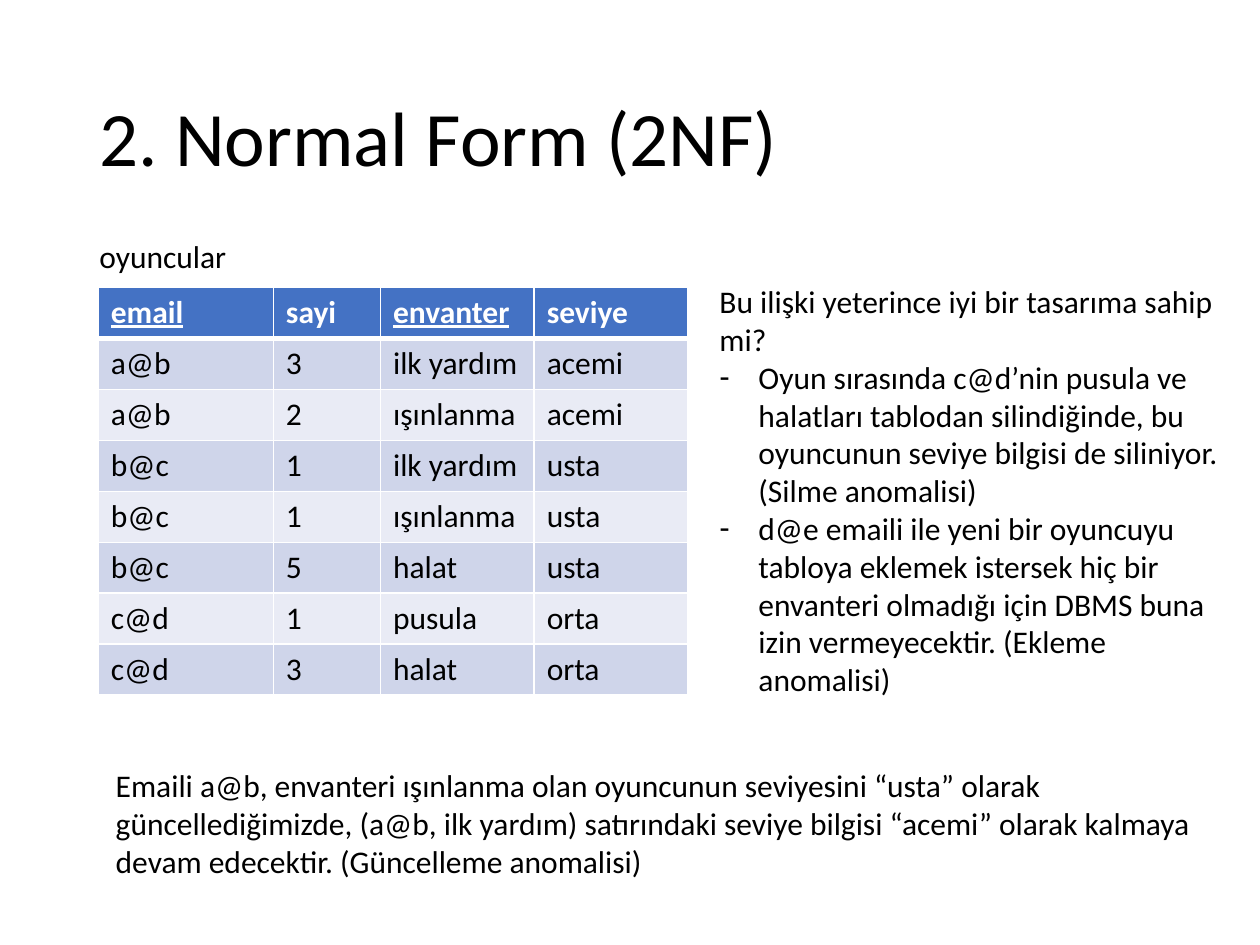
from lxml import etree
from pptx import Presentation
from pptx.dml.color import RGBColor
from pptx.enum.text import MSO_ANCHOR, MSO_AUTO_SIZE, PP_ALIGN
from pptx.oxml.ns import qn
from pptx.util import Inches, Pt

LEFT = PP_ALIGN.LEFT
TOP = MSO_ANCHOR.TOP
MIDDLE = MSO_ANCHOR.MIDDLE
NO_FIT = MSO_AUTO_SIZE.NONE
GROW = MSO_AUTO_SIZE.SHAPE_TO_FIT_TEXT

BLACK = RGBColor(0x00, 0x00, 0x00)
WHITE = RGBColor(0xFF, 0xFF, 0xFF)
HEADER_BLUE = RGBColor(0x44, 0x72, 0xC4)
BAND_DARK = RGBColor(0xCF, 0xD5, 0xEA)
BAND_LIGHT = RGBColor(0xE9, 0xEB, 0xF5)

HEADERS = ["email", "sayi", "envanter", "seviye"]
KEY_COLUMNS = {"email", "envanter"}
PLAYERS = [
    ["a@b", "3", "ilk yardım", "acemi"],
    ["a@b", "2", "ışınlanma", "acemi"],
    ["b@c", "1", "ilk yardım", "usta"],
    ["b@c", "1", "ışınlanma", "usta"],
    ["b@c", "5", "halat", "usta"],
    ["c@d", "1", "pusula", "orta"],
    ["c@d", "3", "halat", "orta"],
]
QUESTION = "Bu ilişki yeterince iyi bir tasarıma sahip mi?"
ANOMALIES = [
    "Oyun sırasında c@d’nin pusula ve halatları tablodan silindiğinde, "
    "bu oyuncunun seviye bilgisi de siliniyor. (Silme anomalisi)",
    "d@e emaili ile yeni bir oyuncuyu tabloya eklemek istersek hiç bir envanteri "
    "olmadığı için DBMS buna izin vermeyecektir. (Ekleme anomalisi)",
]
UPDATE_NOTE = (
    "Emaili a@b, envanteri ışınlanma olan oyuncunun seviyesini “usta” olarak "
    "güncellediğimizde, (a@b, ilk yardım) satırındaki seviye bilgisi “acemi” "
    "olarak kalmaya devam edecektir. (Güncelleme anomalisi)"
)


class SlideBuilder:
    font = "Calibri"
    title_size = 44
    text_size = 18
    hanging = Inches(0.31)

    def __init__(self, slide):
        self.slide = slide

    def place(self, shape, left, top, width, height):
        shape.left, shape.top = Inches(left), Inches(top)
        shape.width, shape.height = Inches(width), Inches(height)

    def add_text(self, paragraph, text, size=text_size, color=BLACK, bold=False, underline=False):
        paragraph.alignment = LEFT
        run = paragraph.add_run()
        run.text = text
        run.font.name = self.font
        run.font.size = Pt(size)
        run.font.color.rgb = color
        run.font.bold = bold
        run.font.underline = underline

    def title(self, text, *box):
        shape = self.slide.shapes.title
        self.place(shape, *box)
        frame = shape.text_frame
        frame.auto_size = NO_FIT
        frame.vertical_anchor = MIDDLE
        paragraph = frame.paragraphs[0]
        paragraph.line_spacing = 0.9
        self.add_text(paragraph, text, self.title_size)

    def bullet(self, paragraph, mark=None):
        indent = self.hanging if mark else 0
        properties = paragraph._p.get_or_add_pPr()
        properties.set("marL", str(indent))
        properties.set("indent", str(-indent))
        if mark:
            etree.SubElement(properties, qn("a:buFontTx"))
            etree.SubElement(properties, qn("a:buChar"), char=mark)
        else:
            etree.SubElement(properties, qn("a:buNone"))

    def body(self, lead, items, *box):
        shape = self.slide.placeholders[1]
        self.place(shape, *box)
        frame = shape.text_frame
        frame.auto_size = GROW
        frame.vertical_anchor = TOP
        for index, text in enumerate([lead, *items]):
            paragraph = frame.add_paragraph() if index else frame.paragraphs[0]
            paragraph.space_before = Pt(0)
            self.bullet(paragraph, "-" if index else None)
            self.add_text(paragraph, text)

    def text(self, text, *box, wrap=True):
        shape = self.slide.shapes.add_textbox(*map(Inches, box))
        frame = shape.text_frame
        frame.word_wrap = wrap
        frame.auto_size = GROW
        self.add_text(frame.paragraphs[0], text)

    def border(self, cell, side, width):
        properties = cell._tc.get_or_add_tcPr()
        line = etree.SubElement(properties, qn(f"a:ln{side}"), w=str(Pt(width)))
        fill = etree.SubElement(line, qn("a:solidFill"))
        etree.SubElement(fill, qn("a:srgbClr"), val=str(WHITE))

    def table(self, headers, records, column_widths, left, top, height):
        rows = [headers, *records]
        frame = self.slide.shapes.add_table(
            len(rows), len(headers), Inches(left), Inches(top),
            Inches(sum(column_widths)), Inches(height))
        table = frame.table
        for column, width in zip(table.columns, column_widths):
            column.width = Inches(width)
        for row_index, values in enumerate(rows):
            is_header = row_index == 0
            band = BAND_DARK if row_index % 2 else BAND_LIGHT
            for column_index, value in enumerate(values):
                cell = table.cell(row_index, column_index)
                for side in "LRTB":
                    under_header = (row_index, side) in {(0, "B"), (1, "T")}
                    self.border(cell, side, 3 if under_header else 1)
                cell.fill.solid()
                cell.fill.fore_color.rgb = HEADER_BLUE if is_header else band
                self.add_text(
                    cell.text_frame.paragraphs[0], value,
                    color=WHITE if is_header else BLACK,
                    bold=is_header, underline=is_header and value in KEY_COLUMNS)


def main():
    presentation = Presentation()
    presentation.slide_width = Inches(10)
    presentation.slide_height = Inches(7.5)
    slide = presentation.slides.add_slide(presentation.slide_layouts[1])
    builder = SlideBuilder(slide)
    builder.title("2. Normal Form (2NF)", 0.69, 0.4, 8.62, 1.45)
    builder.table(HEADERS, PLAYERS, [1.39, 0.85, 1.22, 1.22], 0.78, 2.28, 3.24)
    builder.text("oyuncular", 0.69, 1.83, 1.22, 0.4, wrap=False)
    builder.body(QUESTION, ANOMALIES, 5.61, 2.19, 4.21, 3.43)
    builder.text(UPDATE_NOTE, 0.82, 6.03, 9.01, 1.01)
    presentation.save("out.pptx")


if __name__ == "__main__":
    main()
